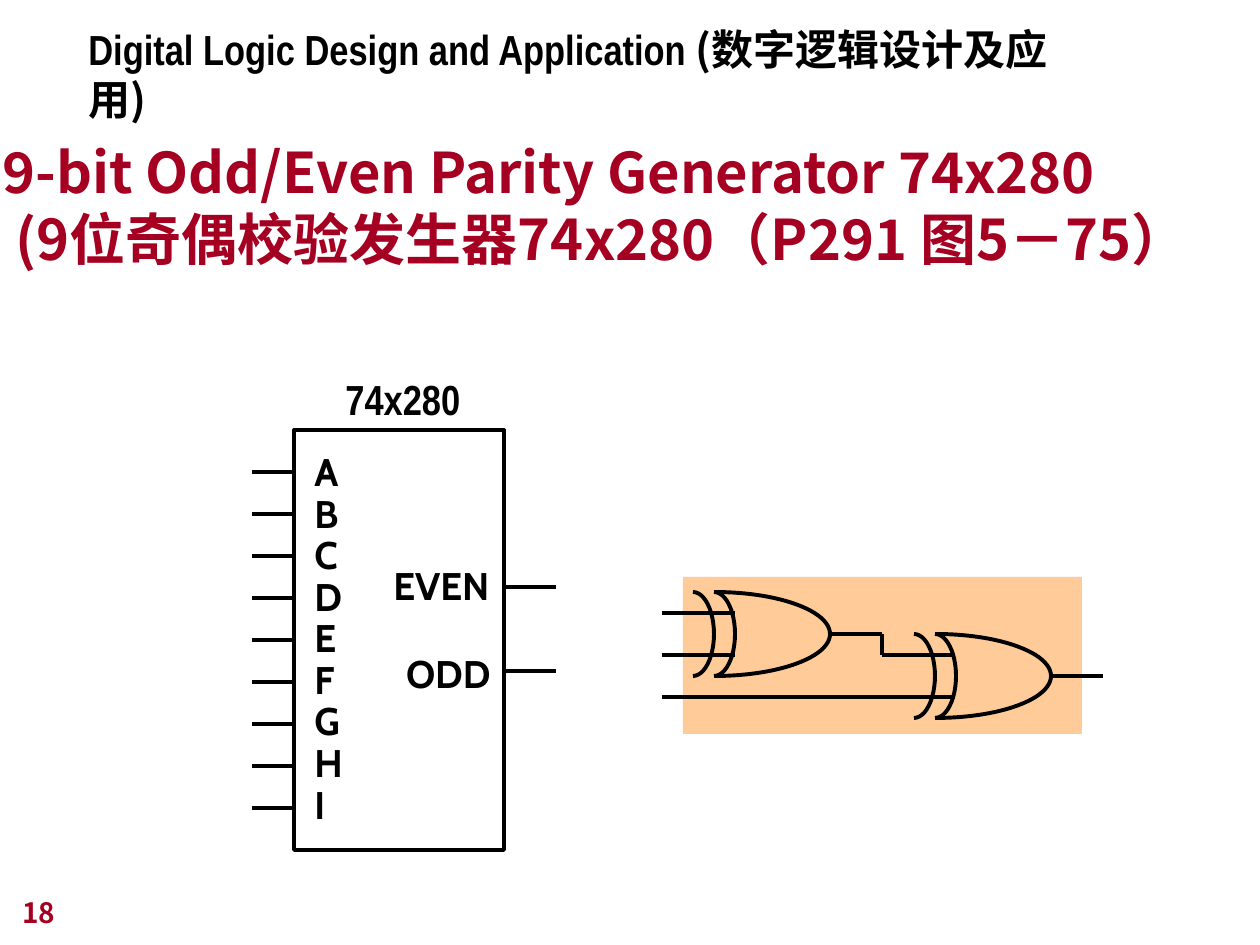
from pptx import Presentation
from pptx.dml.color import RGBColor
from pptx.enum.shapes import MSO_CONNECTOR, MSO_SHAPE
from pptx.enum.text import MSO_ANCHOR, PP_ALIGN
from pptx.oxml.ns import qn
from pptx.util import Emu, Pt
from lxml.etree import SubElement

SCALE = 914400 // 126
BLACK, RED, PEACH = "000000", "A50021", "FFCC99"
NARROW, LABEL, CJK = "Arial Narrow", "Cabin", "Noto Sans CJK JP"
LINE_WIDTH = Pt(2.25)


def px(length):
    """Turn px into EMU."""
    return Emu(length * SCALE)


def colour(value):
    """Turn a hex string into a colour."""
    return RGBColor.from_string(value)


def add_text(page, box, lines, size, font, ink=BLACK, wrap=False, spacing=None,
             align=PP_ALIGN.LEFT, anchor=MSO_ANCHOR.TOP):
    """Add a bold text box; each line is a list of texts, or texts with a font."""
    frame = page.shapes.add_textbox(*map(px, box)).text_frame
    frame.word_wrap = wrap
    frame.vertical_anchor = anchor
    for index, line in enumerate(lines):
        para = frame.add_paragraph() if index else frame.paragraphs[0]
        para.alignment = align
        if spacing:
            para.line_spacing = spacing
        for text, face in line if isinstance(line, list) else [(line, font)]:
            span = para.add_run()
            span.text = text
            span.font.name = face
            span.font.size = Pt(size)
            span.font.bold = True
            span.font.color.rgb = colour(ink)
            SubElement(span.font._element, qn("a:ea"), typeface=CJK)


def add_wire(page, start_x, start_y, end_x, end_y):
    """Draw a straight black wire."""
    wire = page.shapes.add_connector(
        MSO_CONNECTOR.STRAIGHT, *map(px, (start_x, start_y, end_x, end_y)))
    wire.line.color.rgb = colour(BLACK)
    wire.line.width = LINE_WIDTH
    SubElement(wire._element.spPr, qn("a:effectLst"))


def add_outline(page, kind, box):
    """Draw an unfilled black shape and return it."""
    shape = page.shapes.add_shape(kind, *map(px, box))
    shape.shadow.inherit = False
    shape.fill.background()
    shape.line.color.rgb = colour(BLACK)
    shape.line.width = LINE_WIDTH
    return shape


def add_xor_gate(page, left, top):
    """Draw an XOR gate from two input arcs and a rounded body."""
    for offset, width in ((-21, 42), (0, 42), (-94, 231)):
        arc = add_outline(page, MSO_SHAPE.ARC, (left + offset, top, width, 84))
        arc.adjustments[0] = 162
        arc.adjustments[1] = 54


def add_parity_cell(page, left, top):
    """Draw two chained XOR gates on a coloured panel."""
    panel = page.shapes.add_shape(
        MSO_SHAPE.RECTANGLE, *map(px, (left, top, 399, 157)))
    panel.shadow.inherit = False
    panel.fill.solid()
    panel.fill.fore_color.rgb = colour(PEACH)
    panel.line.fill.background()
    add_xor_gate(page, left + 10, top + 15)
    add_xor_gate(page, left + 231, top + 57)
    wires = ((-21, 36, 52, 36), (-21, 78, 52, 78), (-21, 120, 199, 120),
             (146, 57, 199, 57), (199, 57, 199, 78), (199, 78, 272, 78),
             (199, 120, 272, 120), (367, 99, 420, 99))
    for start_x, start_y, end_x, end_y in wires:
        add_wire(page, left + start_x, top + start_y, left + end_x, top + end_y)


def add_chip(page, left, top):
    """Draw the parity chip with its nine inputs and two outputs."""
    inputs = "ABCDEFGHI"
    add_outline(page, MSO_SHAPE.RECTANGLE, (left, top, 210, 420))
    add_text(page, (left + 39, top - 63, 140, 63), ["74x280"], 24, NARROW)
    add_text(page, (left + 8, top + 17, 54, 387), inputs, 22, LABEL, spacing=0.9)
    for index in range(len(inputs)):
        pin = top + 42 * (index + 1)
        add_wire(page, left, pin, left - 42, pin)
    add_text(page, (left + 87, top + 126, 125, 59), ["EVEN"], 22, LABEL)
    add_text(page, (left + 97, top + 214, 112, 59), ["ODD"], 22, LABEL,
             align=PP_ALIGN.RIGHT)
    for pin in (top + 157, top + 241):
        add_wire(page, left + 210, pin, left + 262, pin)


def add_headings(page):
    """Place the course name, the title and the page number."""
    course = [("Digital Logic Design and Application ", NARROW),
              ("(数字逻辑设计及应用)", CJK)]
    title = ["9-bit Odd/Even Parity Generator 74x280",
             " (9位奇偶校验发生器74x280（P291 图5－75）"]
    add_text(page, (76, 18, 1040, 63), [course], 24, NARROW, wrap=True,
             spacing=Pt(28.5))
    add_text(page, (-10, 132, 1280, 147), title, 32, CJK, RED, wrap=True,
             spacing=Pt(38))
    add_text(page, (10, 872, 262, 63), ["18"], 16, CJK, RED, wrap=True,
             anchor=MSO_ANCHOR.BOTTOM)


def main():
    """Build the slide and save the deck."""
    deck = Presentation()
    deck.slide_width, deck.slide_height = px(1260), px(945)
    page = deck.slides.add_slide(deck.slide_layouts[6])
    add_headings(page)
    add_parity_cell(page, 683, 577)
    add_chip(page, 294, 430)
    deck.save("out.pptx")


if __name__ == "__main__":
    main()
